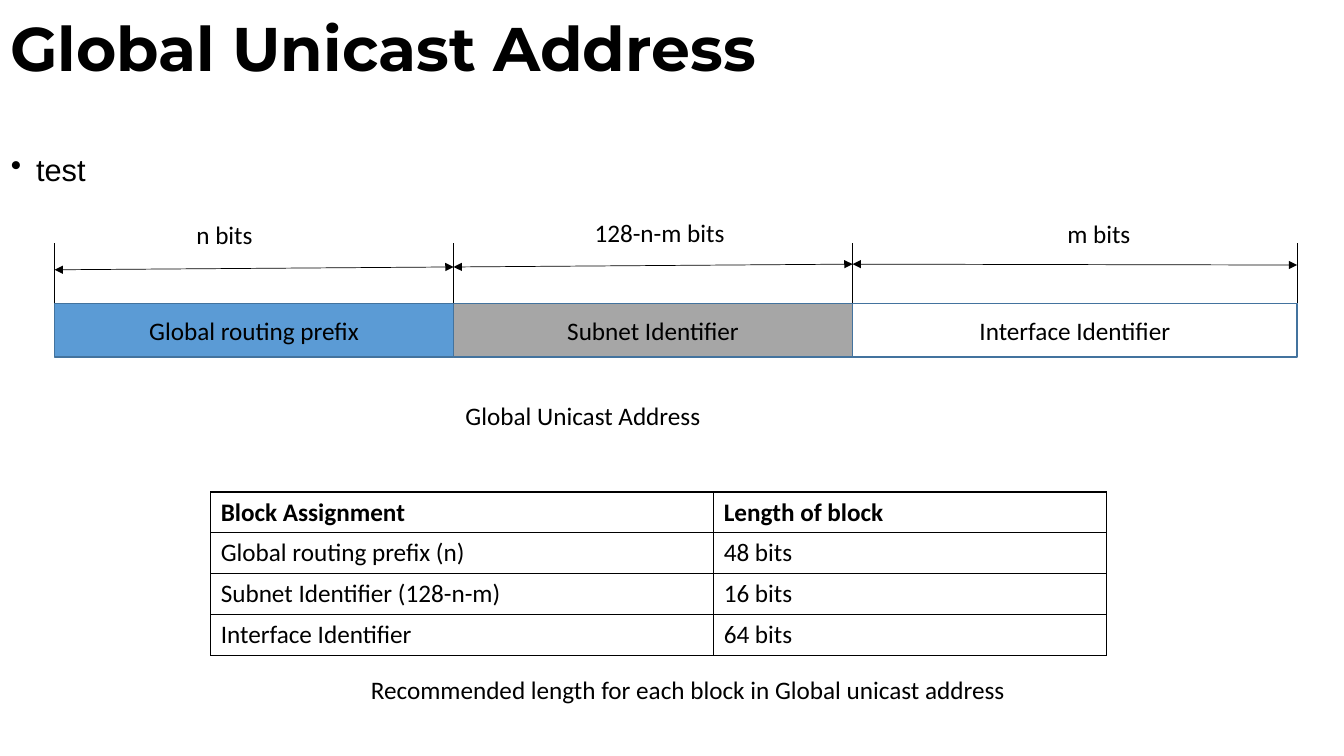
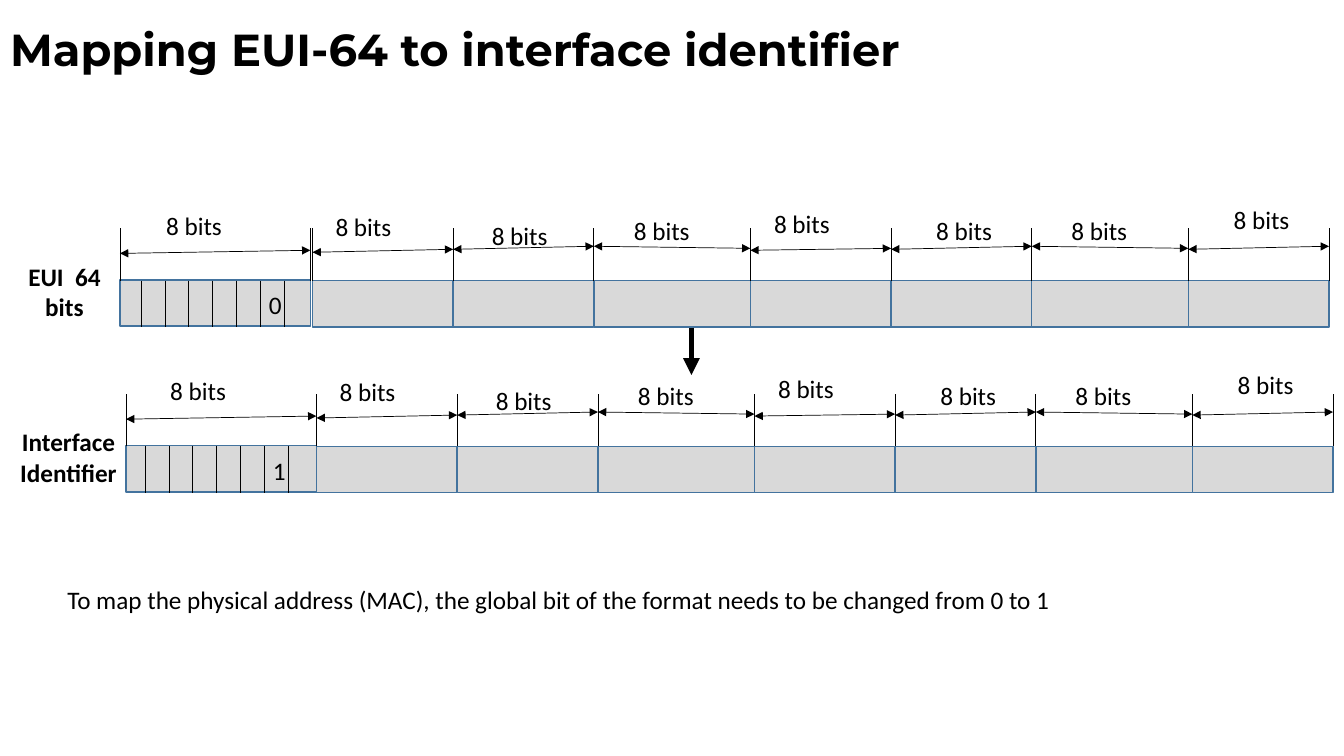
import itertools

import pptx
import pptx.dml.color
import pptx.enum.shapes
import pptx.enum.text
import pptx.oxml
import pptx.oxml.ns
import pptx.util

Pt = pptx.util.Pt
ALIGN = pptx.enum.text.PP_ALIGN
ANCHOR = pptx.enum.text.MSO_ANCHOR

BLACK = "000000"
WHITE = "FFFFFF"
BLUE = "5B9BD5"
EDGE_BLUE = "43739E"
GREY = "A6A6A6"
LIGHT_GREY = "D9D9D9"

BODY = {"name": "Calibri", "size": Pt(18), "bold": False}
STRONG = {**BODY, "bold": True}
BULLET = {**BODY, "name": "Arial", "size": Pt(22)}
TITLE = {**BODY, "name": "Montserrat", "bold": True}

TITLE_ONLY = 5
THIN = 0.5

PREFIX_FIELDS = [
    # text, fill, width, label, label left, label top
    ("Global routing prefix", BLUE, 285, "n bits", 133.2, 153.4),
    ("Subnet Identifier", GREY, 285, "128-n-m bits", 417.6, 151.9),
    ("Interface Identifier", WHITE, 317.6, "m bits", 755.3, 152.6),
]
PREFIX_ARROW_HEIGHTS = [24, 26, 28, 27.4]

BLOCK_LENGTHS = [
    ("Block Assignment", "Length of block"),
    ("Global routing prefix (n)", "48 bits"),
    ("Subnet Identifier (128-n-m)", "16 bits"),
    ("Interface Identifier", "64 bits"),
]

OCTET_WIDTHS = [100.5, 100.5, 111.8, 100.5, 100.5, 111.8, 100.5]
OCTET_HEIGHT = 33.1
FIRST_OCTET_WIDTH = 136
# Heights above the bar at which each octet's arrow starts and ends
OCTET_ARROWS = [(19.4, 21.6), (20.2, 22.3), (22.3, 24.5), (24.5, 23),
                (21.6, 23), (22.3, 24.5), (24.5, 23), (22.3, 24.5)]
# Left edge, and height above the bar, of each octet's label
OCTET_LABELS = [(111.6, 54), (232.6, 53.3), (344.2, 46.8), (445.7, 50.4),
                (545.8, 55.4), (661.7, 50.4), (758.2, 50.4), (874.1, 58.3)]


def color(value):
    return pptx.dml.color.RGBColor.from_string(value)


def write(paragraph, text, style, align=ALIGN.LEFT):
    paragraph.alignment = align
    span = paragraph.add_run()
    span.text = text
    for name, value in style.items():
        setattr(span.font, name, value)
    span.font.color.rgb = color(BLACK)


def add_page(deck, title, size):
    page = deck.slides.add_slide(deck.slide_layouts[TITLE_ONLY])
    box = page.shapes.title
    place = {"left": 0, "top": 0, "width": Pt(797.8), "height": Pt(74.2)}
    for name, value in place.items():
        setattr(box, name, value)
    box.text_frame.auto_size = pptx.enum.text.MSO_AUTO_SIZE.NONE
    box.text_frame.vertical_anchor = ANCHOR.MIDDLE
    paragraph = box.text_frame.paragraphs[0]
    paragraph.line_spacing = 0.9
    write(paragraph, title, {**TITLE, "size": Pt(size)})
    return page


def add_text(page, text, left, top, width, height=28.8, style=BODY, align=ALIGN.LEFT):
    box = page.shapes.add_textbox(Pt(left), Pt(top), Pt(width), Pt(height))
    box.text_frame.word_wrap = True
    paragraph = box.text_frame.paragraphs[0]
    write(paragraph, text, style, align)
    return paragraph


def add_bullet(page, text, left, top, width, height):
    paragraph = add_text(page, text, left, top, width, height, BULLET, ALIGN.JUSTIFY)
    paragraph.line_spacing = 1.5
    properties = paragraph._p.get_or_add_pPr()
    properties.set("marL", str(Pt(18)))
    properties.set("indent", str(-Pt(18)))
    mark = pptx.oxml.parse_xml(f'<a:buChar {pptx.oxml.ns.nsdecls("a")} char="•"/>')
    properties.append(mark)


def add_field(page, left, top, width, height, fill, text=""):
    """Draw one filled rectangle of an address bar."""
    box = page.shapes.add_shape(
        pptx.enum.shapes.MSO_SHAPE.RECTANGLE, Pt(left), Pt(top), Pt(width), Pt(height))
    box.shadow.inherit = False
    box.fill.solid()
    box.fill.fore_color.rgb = color(fill)
    box.line.color.rgb = color(EDGE_BLUE)
    box.line.width = Pt(1)
    if text:
        box.text_frame.vertical_anchor = ANCHOR.MIDDLE
        write(box.text_frame.paragraphs[0], text, BODY, ALIGN.CENTER)


def add_line(page, start, end, width=THIN, heads=()):
    """Draw a line; heads may hold headEnd (at the start) and tailEnd."""
    line = page.shapes.add_connector(
        pptx.enum.shapes.MSO_CONNECTOR.STRAIGHT, *map(Pt, start + end))
    line.line.color.rgb = color(BLACK)
    line.line.width = Pt(width)
    namespace = pptx.oxml.ns.nsdecls("a")
    for head in heads:
        line.line._ln.append(
            pptx.oxml.parse_xml(f'<a:{head} {namespace} type="triangle"/>'))
    line._element.spPr.append(pptx.oxml.parse_xml(f"<a:effectLst {namespace}/>"))


def add_ticks(page, edges, top, height):
    for edge in edges:
        add_line(page, (edge, top), (edge, top - height))


def add_measure(page, left, right, top, heights):
    """Draw a double arrow at the given heights above the bar's top."""
    add_line(page, (left, top - heights[0]), (right, top - heights[1]),
             heads=("headEnd", "tailEnd"))


def border_cell(cell):
    properties = cell._tc.get_or_add_tcPr()
    for position, side in enumerate(("lnL", "lnR", "lnT", "lnB")):
        properties.insert(position, pptx.oxml.parse_xml(
            f'<a:{side} {pptx.oxml.ns.nsdecls("a")} w="{Pt(1)}"><a:solidFill>'
            f'<a:srgbClr val="{BLACK}"/></a:solidFill></a:{side}>'))


def add_table(page, rows, left, top, widths, row_height):
    frame = page.shapes.add_table(len(rows), len(widths), Pt(left), Pt(top),
                                  Pt(sum(widths)), Pt(row_height * len(rows)))
    table = frame.table
    table.first_row = table.horz_banding = False
    for column, width in zip(table.columns, widths):
        column.width = Pt(width)
    for row_number, (row, texts) in enumerate(zip(table.rows, rows)):
        row.height = Pt(row_height)
        for cell, text in zip(row.cells, texts):
            cell.fill.background()
            border_cell(cell)
            style = BODY if row_number else STRONG
            write(cell.text_frame.paragraphs[0], text, style)


def add_prefix_bar(page, left, top):
    widths = [field[2] for field in PREFIX_FIELDS]
    edges = list(itertools.accumulate(widths, initial=left))
    for edge, (text, fill, width, *_) in zip(edges, PREFIX_FIELDS):
        add_field(page, edge, top, width, 38.2, fill, text)
    add_ticks(page, edges, top, 43.2)
    spans = zip(itertools.pairwise(edges), itertools.pairwise(PREFIX_ARROW_HEIGHTS))
    for (start, end), heights in spans:
        add_measure(page, start, end, top, heights)
    for *_, label, label_left, label_top in PREFIX_FIELDS:
        add_text(page, label, label_left, label_top, 152)


def add_octet_bar(page, name, name_left, first_left, shift, top, global_bit):
    """Draw eight octets, the first one split into bits."""
    edges = list(itertools.accumulate(OCTET_WIDTHS, initial=223.2 + shift))
    first_edges = (first_left, first_left + FIRST_OCTET_WIDTH)
    for edge, width in zip(edges, OCTET_WIDTHS):
        add_field(page, edge, top, width, OCTET_HEIGHT, LIGHT_GREY)
    add_field(page, first_left, top - 0.5, FIRST_OCTET_WIDTH, OCTET_HEIGHT, LIGHT_GREY)
    add_ticks(page, (*first_edges, *edges), top, 37.4)
    spans = [first_edges, *itertools.pairwise(edges)]
    for (start, end), heights in zip(spans, OCTET_ARROWS):
        add_measure(page, start, end, top, heights)
    for left, height in OCTET_LABELS:
        add_text(page, "8 bits", left + shift, top - height, 75)
    for number in range(7):
        divider = 100.8 + shift + 17 * number
        add_line(page, (divider, top), (divider, top + OCTET_HEIGHT))
    add_text(page, global_bit, 185 + shift, top + 2.9, 30)
    add_text(page, name, name_left, top - 17.6, 90.7, 51.1, STRONG, ALIGN.CENTER)


def add_address_page(deck):
    page = add_page(deck, "Global Unicast Address", 44)
    add_bullet(page, "test", 0.7, 90.7, 959, 449.3)
    add_prefix_bar(page, 39, 216.7)
    add_text(page, "Global Unicast Address", 325.4, 282.2, 195)
    add_table(page, BLOCK_LENGTHS, 150.5, 351.4, [359.3, 280.8], 29.2)
    add_text(page, "Recommended length for each block in Global unicast address",
             257.8, 478.1, 480)


def add_mapping_page(deck):
    page = add_page(deck, "Mapping EUI-64 to interface identifier", 32)
    add_text(page, "To map the physical address (MAC), the global bit of the format "
             "needs to be changed from 0 to 1", 41, 414, 908)
    add_octet_bar(page, "EUI  64 bits", 0.7, 85.7, 0, 200.4, "0")
    add_octet_bar(page, "Interface Identifier", 3.6, 90, 2.9, 318.8, "1")
    add_line(page, (493.9, 234), (493.9, 267.8), 4, ("tailEnd",))


def main():
    deck = pptx.Presentation()
    deck.slide_width = Pt(960)
    deck.slide_height = Pt(540)
    add_address_page(deck)
    add_mapping_page(deck)
    deck.save("out.pptx")


if __name__ == "__main__":
    main()
